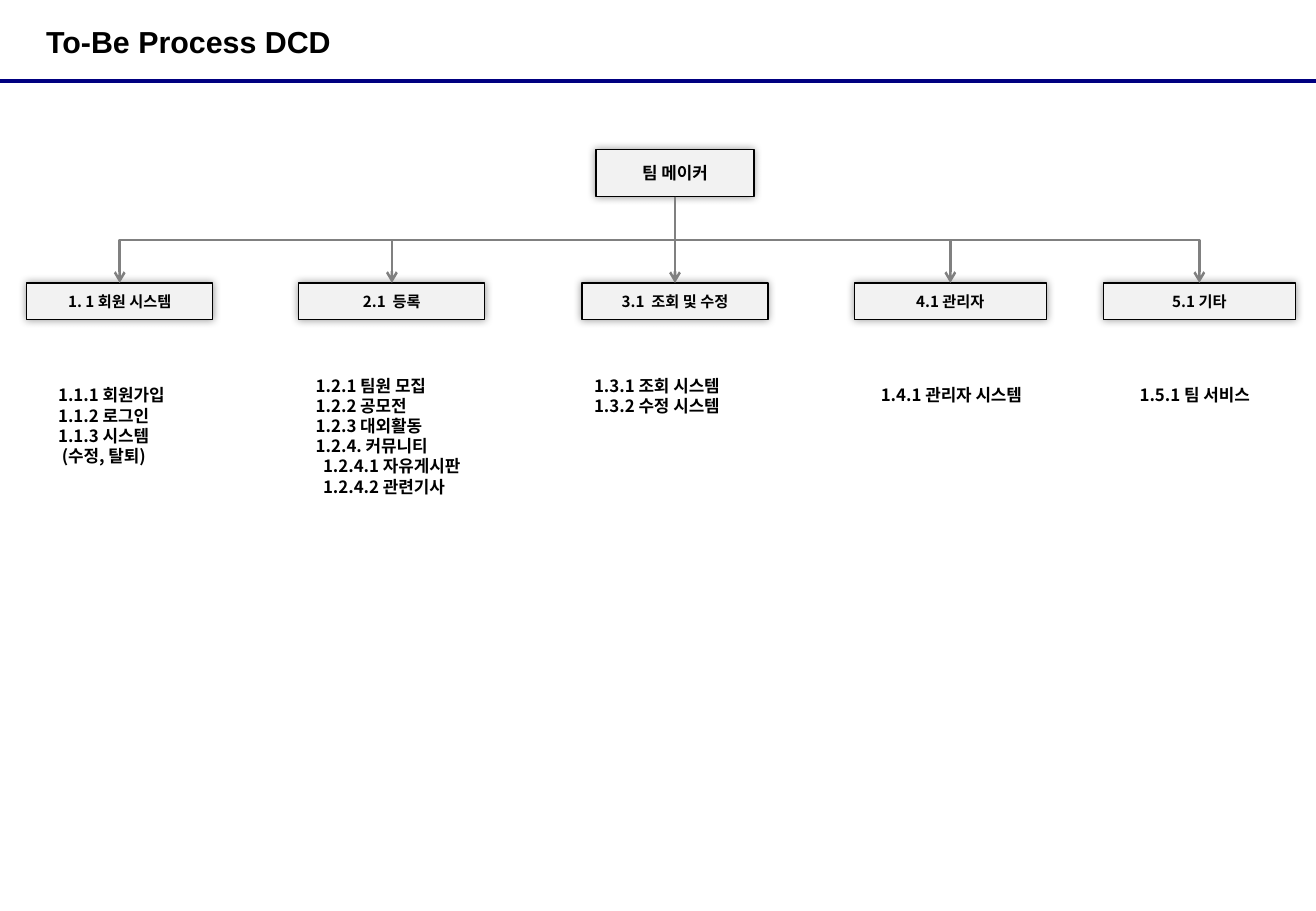
"""Builds the To-Be Process DCD slide: one root box, five process boxes and their lists."""
import pptx
import pptx.util
import pptx.dml.color
import pptx.enum.shapes
import pptx.enum.text
import pptx.oxml
import pptx.oxml.ns

Inches, Pt = pptx.util.Inches, pptx.util.Pt
qn = pptx.oxml.ns.qn
CONNECTOR = pptx.enum.shapes.MSO_CONNECTOR
ALIGN = pptx.enum.text.PP_ALIGN
MIDDLE = pptx.enum.text.MSO_ANCHOR.MIDDLE

TITLE = "To-Be Process DCD"
ROOT = "팀 메이커"
PROCESSES = [
    {"name": "1. 1 회원 시스템", "left": 0.22, "width": 1.53, "list_at": (0.38, 3.12),
     "items": [("1.1.1 회원가입", 0), ("1.1.2 로그인", 0), ("1.1.3 시스템", 0), ("(수정, 탈퇴)", 1)]},
    {"name": "2.1  등록", "left": 2.46, "width": 1.53, "list_at": (2.5, 3.04),
     "items": [("1.2.1 팀원 모집", 0), ("1.2.2 공모전", 0), ("1.2.3 대외활동", 0),
               ("1.2.4. 커뮤니티", 0), ("1.2.4.1 자유게시판", 2), ("1.2.4.2 관련기사", 2)]},
    {"name": "3.1  조회 및 수정", "left": 4.79, "width": 1.53, "list_at": (4.79, 3.04),
     "items": [("1.3.1 조회 시스템", 0), ("1.3.2 수정 시스템", 0)]},
    {"name": "4.1 관리자", "left": 7.03, "width": 1.58, "list_at": (7.15, 3.12),
     "items": [("1.4.1 관리자 시스템", 0)]},
    {"name": "5.1 기타", "left": 9.08, "width": 1.58, "list_at": (9.28, 3.12),
     "items": [("1.5.1 팀 서비스", 0)]},
]
COLORS = {"text": "000000", "box": "F2F2F2", "border": "000000", "arrow": "808080", "rule": "000080"}
TITLE_FONT, BODY_FONT = "Arial", "Noto Sans CJK KR"
SLIDE_WIDTH, SLIDE_HEIGHT = 10.83, 7.5
RULE_TOP = 0.67
ROOT_TOP, ROOT_WIDTH, ROOT_HEIGHT = 1.23, 1.3, 0.39
PROCESS_TOP, PROCESS_HEIGHT = 2.33, 0.3
LIST_WIDTH, LINE_PITCH, INDENT_STEP = 1.55, 12, 0.03


def rgb(name):
    return pptx.dml.color.RGBColor.from_string(COLORS[name])


def format_text(paragraph, size, font_name):
    for run in paragraph.runs:
        run.font.size, run.font.bold, run.font.name = Pt(size), True, font_name
        run.font.color.rgb = rgb("text")
        east_asian = pptx.oxml.parse_xml(f'<a:ea {pptx.oxml.ns.nsdecls("a")} typeface="{font_name}"/>')
        run.font._element.find(qn("a:latin")).addnext(east_asian)


def add_box(slide, text, left, top, width, height, size):
    box = slide.shapes.add_shape(pptx.enum.shapes.MSO_SHAPE.RECTANGLE,
                                 Inches(left), Inches(top), Inches(width), Inches(height))
    box.fill.solid()
    box.fill.fore_color.rgb = rgb("box")
    box.line.color.rgb, box.line.width = rgb("border"), Pt(0.75)
    box.shadow.inherit = False
    box._element.spPr.find(qn("a:effectLst")).append(pptx.oxml.parse_xml(
        f'<a:outerShdw {pptx.oxml.ns.nsdecls("a")} blurRad="{Pt(5)}" dist="0" algn="ctr" rotWithShape="0">'
        '<a:srgbClr val="000000"><a:alpha val="40000"/></a:srgbClr></a:outerShdw>'))
    box.text_frame.text = text
    box.text_frame.vertical_anchor = MIDDLE
    paragraph = box.text_frame.paragraphs[0]
    paragraph.alignment = ALIGN.CENTER
    format_text(paragraph, size, BODY_FONT)
    return box


def add_line(slide, kind, start, end, color, width):
    line = slide.shapes.add_connector(kind, *start, *end)
    line.line.color.rgb, line.line.width = rgb(color), Pt(width)
    line._element.spPr.append(pptx.oxml.parse_xml(f'<a:effectLst {pptx.oxml.ns.nsdecls("a")}/>'))
    return line


def add_branch(slide, root, process):
    start = (root.left + root.width // 2, root.top + root.height)
    end = (process.left + process.width // 2, process.top)
    across, down = end[0] - start[0], end[1] - start[1]
    straight = abs(across) < Inches(0.02)
    if straight:
        end = (start[0], end[1])
    branch = add_line(slide, CONNECTOR.STRAIGHT if straight else CONNECTOR.ELBOW, start, end, "arrow", 1.5)
    branch.line._get_or_add_ln().append(
        pptx.oxml.parse_xml(f'<a:tailEnd {pptx.oxml.ns.nsdecls("a")} type="arrow"/>'))
    if straight:
        return
    branch.begin_connect(root, 2)
    branch.end_connect(process, 0)
    branch.width, branch.height = down, abs(across)
    branch.left = (start[0] + end[0] - down) // 2
    branch.top = (start[1] + end[1] - abs(across)) // 2
    transform = branch._element.spPr.find(qn("a:xfrm"))
    for flip in ("flipH", "flipV"):
        transform.attrib.pop(flip, None)
    transform.set("rot", str((270 if across > 0 else 90) * 60000))
    if across > 0:
        transform.set("flipH", "1")


def add_list(slide, items, left, top):
    height = 0.1 + len(items) * LINE_PITCH / 72
    frame = slide.shapes.add_textbox(Inches(left), Inches(top), Inches(LIST_WIDTH), Inches(height)).text_frame
    frame.word_wrap = True
    frame.text = "\n".join(text for text, _ in items)
    for paragraph, (_, level) in zip(frame.paragraphs, items):
        paragraph.line_spacing = Pt(LINE_PITCH)
        if level:
            paragraph._p.get_or_add_pPr().set("marL", str(Inches(level * INDENT_STEP)))
        format_text(paragraph, 10, BODY_FONT)


presentation = pptx.Presentation()
presentation.slide_width, presentation.slide_height = Inches(SLIDE_WIDTH), Inches(SLIDE_HEIGHT)
slide = presentation.slides.add_slide(presentation.slide_layouts[5])

add_line(slide, CONNECTOR.STRAIGHT, (0, Inches(RULE_TOP)),
         (Inches(SLIDE_WIDTH), Inches(RULE_TOP)), "rule", 2.25)

title = slide.shapes.title
title.left, title.top, title.width, title.height = Inches(0.38), 0, Inches(7.08), Inches(0.68)
frame = title.text_frame
frame.text = TITLE
frame.margin_left = frame.margin_top = frame.margin_right = frame.margin_bottom = 0
frame.vertical_anchor = MIDDLE
frame.paragraphs[0].alignment = ALIGN.LEFT
format_text(frame.paragraphs[0], 18, TITLE_FONT)

middle = PROCESSES[len(PROCESSES) // 2]
root_left = middle["left"] + (middle["width"] - ROOT_WIDTH) / 2
root = add_box(slide, ROOT, root_left, ROOT_TOP, ROOT_WIDTH, ROOT_HEIGHT, 10)

for entry in PROCESSES:
    process = add_box(slide, entry["name"], entry["left"], PROCESS_TOP, entry["width"], PROCESS_HEIGHT, 9)
    add_branch(slide, root, process)
    add_list(slide, entry["items"], *entry["list_at"])

presentation.save("out.pptx")
